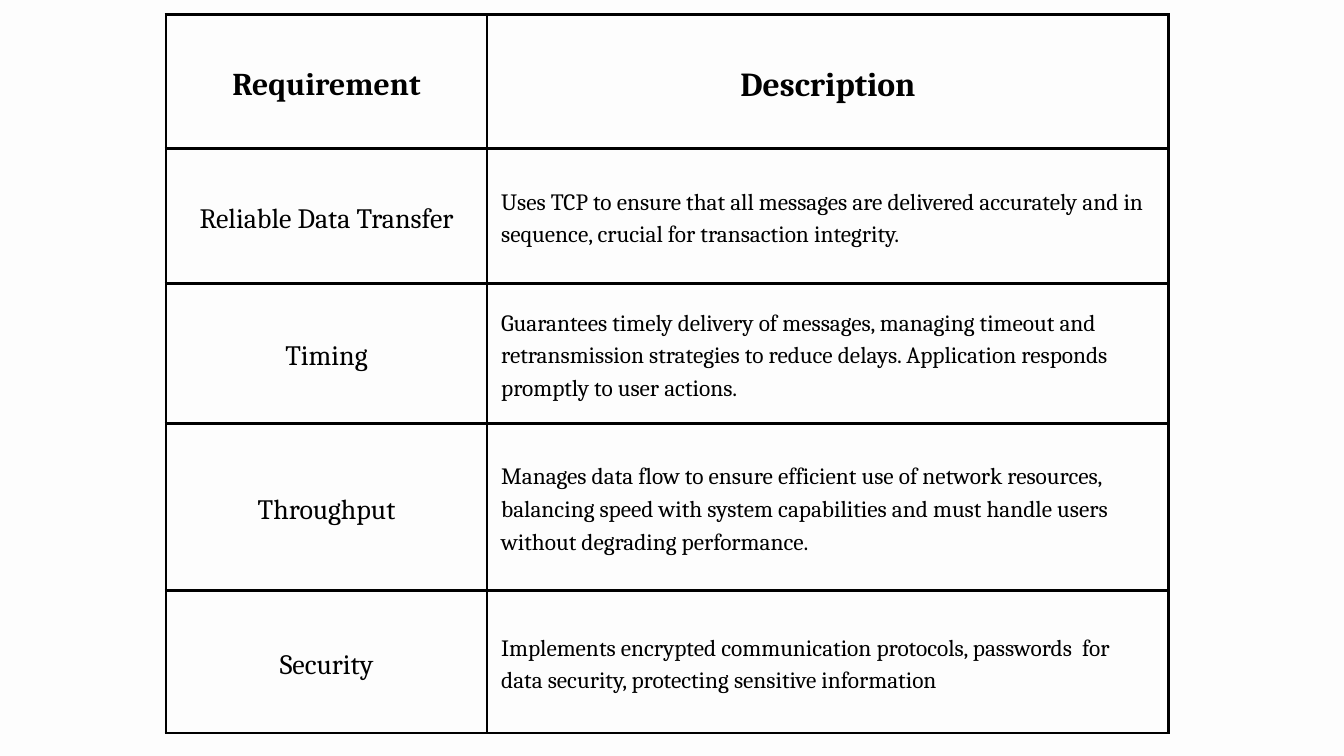
"""Build a slide with a table of application requirements and their descriptions."""
from lxml.etree import SubElement
from pptx import Presentation
from pptx.dml.color import RGBColor
from pptx.enum.text import MSO_ANCHOR, PP_ALIGN
from pptx.oxml.ns import qn
from pptx.util import Pt

BLACK = RGBColor(0x00, 0x00, 0x00)
OFF_WHITE = RGBColor(0xFD, 0xFD, 0xFD)
FONT = "Cambria"
HEADER_SIZES = (34, 36)
BODY_SIZES = (30, 25)
LINE_FACTOR = 1.4
PADDING = Pt(15)
COLUMN_WIDTHS = (344.2, 730.1)
ROW_HEIGHTS = (143.3, 144.7, 149.8, 179.3, 152.6)

ROWS = [
    ("Requirement", "Description"),
    ("Reliable Data Transfer",
     "Uses TCP to ensure that all messages are delivered accurately and in "
     "sequence, crucial for transaction integrity."),
    ("Timing",
     "Guarantees timely delivery of messages, managing timeout and "
     "retransmission strategies to reduce delays. Application responds "
     "promptly to user actions."),
    ("Throughput",
     "Manages data flow to ensure efficient use of network resources, "
     "balancing speed with system capabilities and must handle users "
     "without degrading performance."),
    ("Security",
     "Implements encrypted communication protocols, passwords  for "
     "data security, protecting sensitive information"),
]


def add_borders(cell):
    properties = cell._tc.get_or_add_tcPr()
    for position, side in enumerate(("a:lnL", "a:lnR", "a:lnT", "a:lnB")):
        border = properties.makeelement(qn(side), {"w": str(Pt(3))})
        properties.insert(position, border)
        fill = SubElement(border, qn("a:solidFill"))
        SubElement(fill, qn("a:srgbClr"), val=str(BLACK))


prs = Presentation()
prs.slide_width, prs.slide_height = Pt(1440), Pt(810)
slide = prs.slides.add_slide(prs.slide_layouts[6])
slide.background.fill.solid()
slide.background.fill.fore_color.rgb = OFF_WHITE

requirements = slide.shapes.add_table(
    len(ROWS), len(COLUMN_WIDTHS), Pt(177.8), Pt(15.8),
    Pt(sum(COLUMN_WIDTHS)), Pt(sum(ROW_HEIGHTS))).table
requirements.first_row = False
requirements.horz_banding = False
for column, width in zip(requirements.columns, COLUMN_WIDTHS):
    column.width = Pt(width)
for row, height in zip(requirements.rows, ROW_HEIGHTS):
    row.height = Pt(height)

for r, texts in enumerate(ROWS):
    is_header = r == 0
    sizes = HEADER_SIZES if is_header else BODY_SIZES
    for c, (text, size) in enumerate(zip(texts, sizes)):
        cell = requirements.cell(r, c)
        cell.fill.background()
        add_borders(cell)
        cell.vertical_anchor = MSO_ANCHOR.MIDDLE
        cell.margin_left = cell.margin_right = PADDING
        cell.margin_top = cell.margin_bottom = PADDING
        cell.text = text
        paragraph = cell.text_frame.paragraphs[0]
        centred = is_header or c == 0
        paragraph.alignment = PP_ALIGN.CENTER if centred else PP_ALIGN.LEFT
        paragraph.line_spacing = Pt(size * LINE_FACTOR)
        paragraph.font.name = FONT
        paragraph.font.size = Pt(size)
        paragraph.font.bold = is_header
        paragraph.font.color.rgb = BLACK

prs.save("out.pptx")
